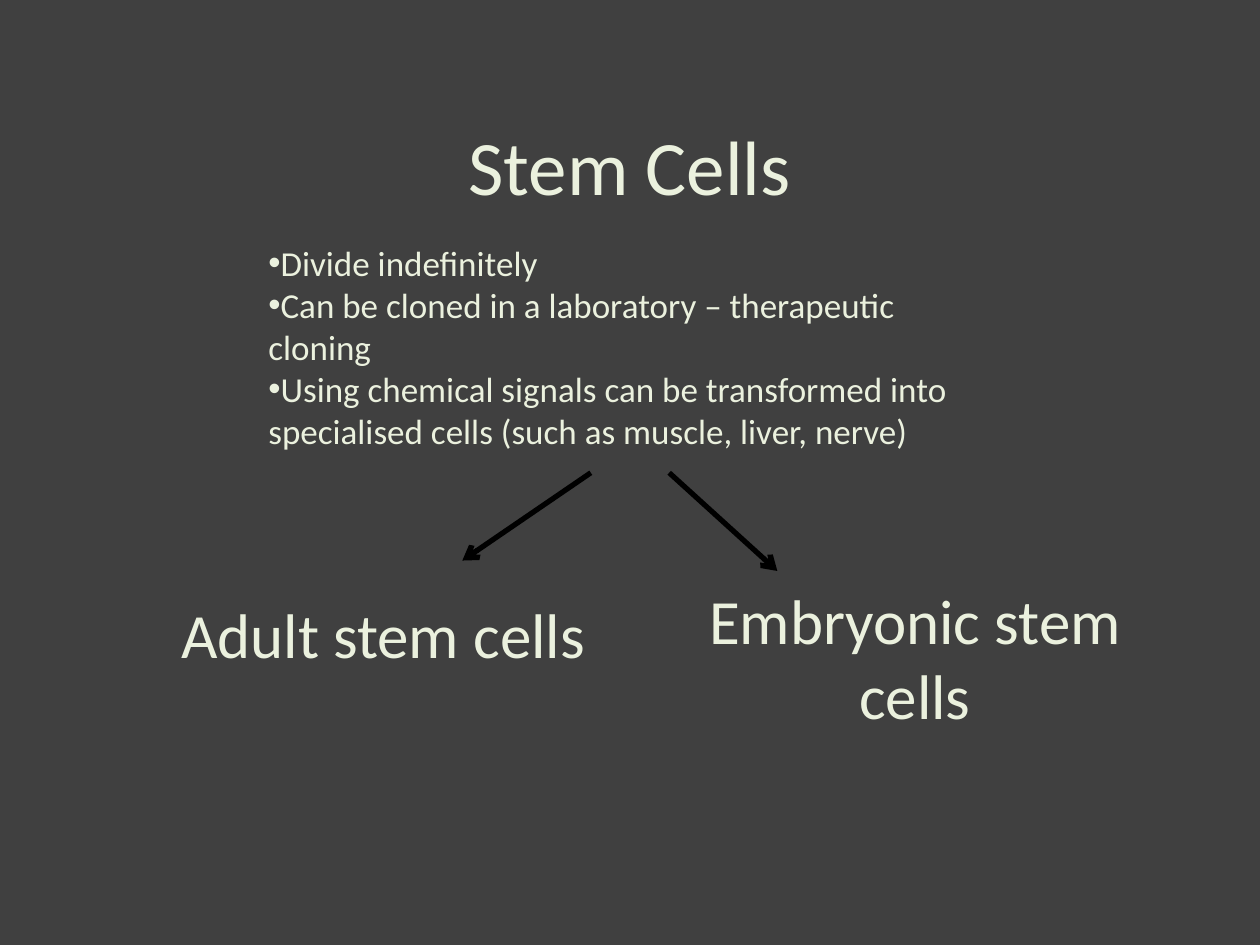
from lxml.etree import SubElement
from pptx import Presentation
from pptx.dml.color import RGBColor
from pptx.enum.shapes import MSO_CONNECTOR
from pptx.enum.text import MSO_ANCHOR, PP_ALIGN
from pptx.oxml.ns import qn
from pptx.util import Cm, Pt


def color(value):
    return RGBColor.from_string(value)


def add_text(box, lines, size, bulleted=False):
    frame = slide.shapes.add_textbox(*map(Cm, box)).text_frame
    frame.word_wrap = True
    frame.vertical_anchor = MSO_ANCHOR.TOP if bulleted else MSO_ANCHOR.MIDDLE
    for index, line in enumerate(lines):
        paragraph = frame.paragraphs[0] if index == 0 else frame.add_paragraph()
        paragraph.text = line
        paragraph.alignment = PP_ALIGN.LEFT if bulleted else PP_ALIGN.CENTER
        if bulleted:
            properties = paragraph._p.get_or_add_pPr()
            SubElement(properties, qn("a:buFont"), typeface="Arial")
            SubElement(properties, qn("a:buChar"), char="•")
        paragraph.font.name = "Calibri"
        paragraph.font.size = Pt(size)
        paragraph.font.color.rgb = color("EBF1DE")


presentation = Presentation()
presentation.slide_width, presentation.slide_height = Cm(25.4), Cm(19.05)
slide = presentation.slides.add_slide(presentation.slide_layouts[6])
slide.background.fill.solid()
slide.background.fill.fore_color.rgb = color("404040")

# Title and the two kinds of stem cell
add_text((1.9, 1.27, 21.59, 4.09), ["Stem Cells"], 44)
add_text((2.34, 10.72, 10.77, 4.09), ["Adult stem cells"], 36)
add_text((13.06, 11.2, 10.77, 4.09), ["Embryonic stem cells"], 36)

# Properties of stem cells
properties_list = [
    "Divide indefinitely",
    "Can be cloned in a laboratory – therapeutic cloning",
    "Using chemical signals can be transformed into specialised cells "
    "(such as muscle, liver, nerve)",
]
add_text((5.16, 4.75, 14.3, 4.52), properties_list, 20, bulleted=True)

# Arrows from the properties to each kind
for ends in [(11.91, 9.53, 9.32, 11.3), (13.49, 9.53, 15.67, 11.51)]:
    arrow = slide.shapes.add_connector(MSO_CONNECTOR.STRAIGHT, *map(Cm, ends))
    arrow.line.color.rgb = color("000000")
    arrow.line.width = Pt(3)
    SubElement(arrow.line._get_or_add_ln(), qn("a:tailEnd"), type="arrow")
    SubElement(arrow._element.spPr, qn("a:effectLst"))

presentation.save("out.pptx")
